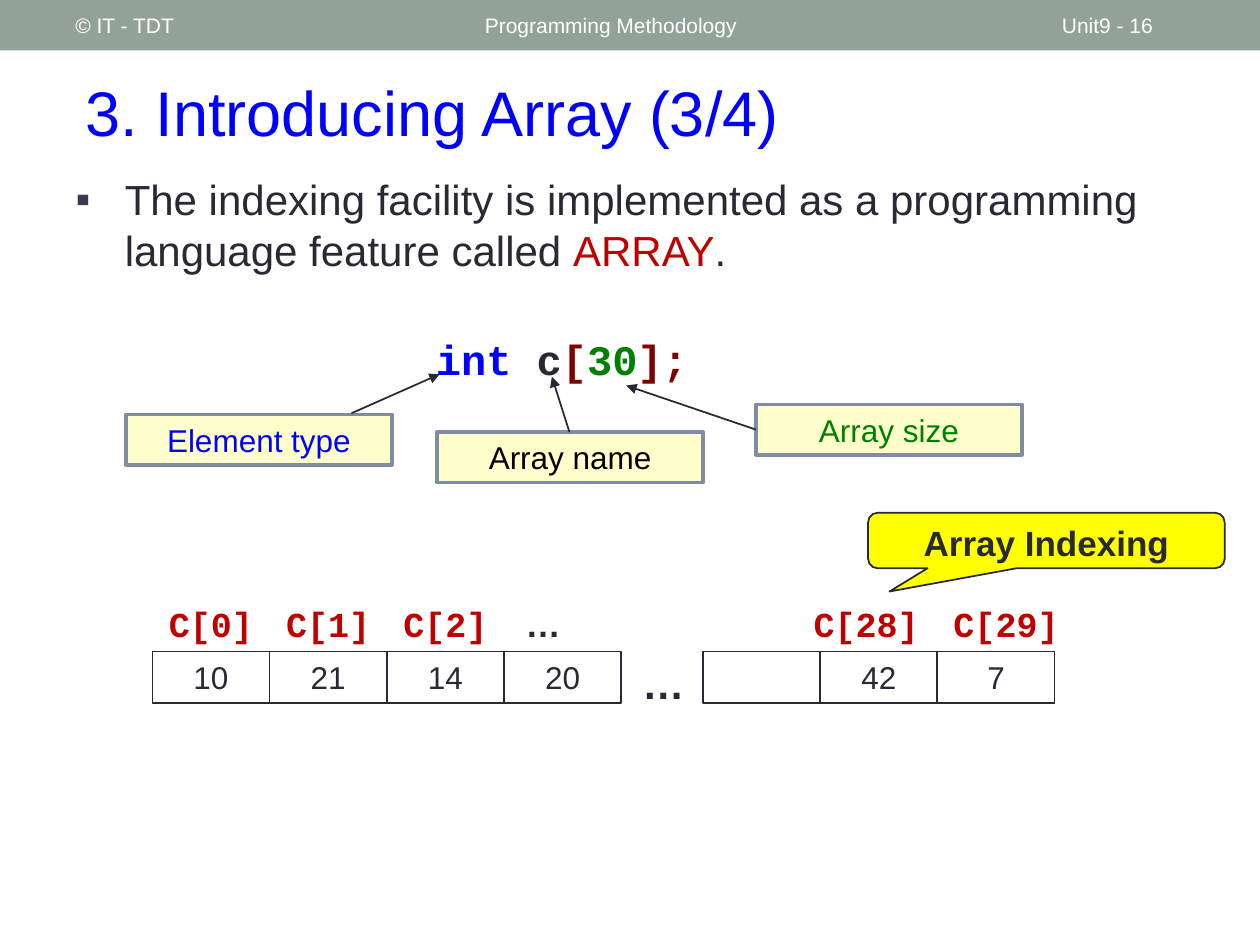
from lxml.etree import SubElement
from pptx import Presentation
from pptx.dml.color import RGBColor
from pptx.enum.shapes import MSO_CONNECTOR, MSO_SHAPE
from pptx.enum.text import MSO_ANCHOR, MSO_AUTO_SIZE, PP_ALIGN
from pptx.oxml.ns import qn
from pptx.util import Inches, Pt

WHITE = RGBColor(0xFF, 0xFF, 0xFF)
SAGE = RGBColor(0x93, 0xA2, 0x99)
INK = RGBColor(0x29, 0x29, 0x34)
SLATE = RGBColor(0x3A, 0x3A, 0x4A)
BLACK = RGBColor(0, 0, 0)
BLUE = RGBColor(0, 0, 0xFF)
GREEN = RGBColor(0, 0x80, 0)
MAROON = RGBColor(0x80, 0, 0)
RED = RGBColor(0xC0, 0, 0)
CREAM = RGBColor(0xFF, 0xFF, 0xCC)
STEEL = RGBColor(0x80, 0x8D, 0xA0)
YELLOW = RGBColor(0xFF, 0xFF, 0)
SANS, MONO = "Arial", "Courier New"


def style(para, size, color, face=SANS, bold=False, align=PP_ALIGN.CENTER):
    """Format a whole paragraph."""
    para.alignment = align
    font = para.font
    font.name, font.size, font.bold = face, Pt(size), bold
    font.color.rgb = color


def add_runs(para, parts):
    """Append coloured runs to a paragraph."""
    for words, color in parts:
        run = para.add_run()
        run.text = words
        run.font.color.rgb = color


def add_text(slide, box, words, size, color, anchor=MSO_ANCHOR.TOP, **look):
    """Add a wrapped text box and return its paragraph."""
    frame = slide.shapes.add_textbox(*map(Inches, box)).text_frame
    frame.word_wrap = True
    frame.vertical_anchor = anchor
    para = frame.paragraphs[0]
    para.text = words
    style(para, size, color, **look)
    return para


def add_box(slide, box, words="", size=18, color=INK, fill=None, line=INK,
            width=1, kind=MSO_SHAPE.RECTANGLE, bold=False):
    """Add an outlined shape with centred text."""
    shape = slide.shapes.add_shape(kind, *map(Inches, box))
    shape.shadow.inherit = False
    if fill is None:
        shape.fill.background()
    else:
        shape.fill.solid()
        shape.fill.fore_color.rgb = fill
    if line is None:
        shape.line.fill.background()
    else:
        shape.line.color.rgb = line
        shape.line.width = Pt(width)
    if words:
        frame = shape.text_frame
        frame.vertical_anchor = MSO_ANCHOR.TOP
        frame.paragraphs[0].text = words
        style(frame.paragraphs[0], size, color, bold=bold)
    return shape


def add_arrow(slide, start, end):
    """Draw a thin arrow between two points."""
    line = slide.shapes.add_connector(
        MSO_CONNECTOR.STRAIGHT, *map(Inches, (*start, *end)))
    line.line.color.rgb = INK
    line.line.width = Pt(1)
    SubElement(line.line._get_or_add_ln(), qn("a:tailEnd"), type="triangle")
    SubElement(line._element.spPr, qn("a:effectLst"))


def add_header(slide, left, top, width, height):
    """Fill the top band with its three labels."""
    add_box(slide, (left, top, width, height), fill=SAGE, line=None)
    labels = (("© IT - TDT", 0.5, 3.17), ("Programming Methodology", 3.75, 4.5),
              ("Unit9 - 16", 8.33, 1.17))
    for words, shift, wide in labels:
        add_text(slide, (left + shift, top + 0.02, wide, height - 0.04), words,
                 12, WHITE, anchor=MSO_ANCHOR.MIDDLE, align=PP_ALIGN.LEFT)


def place(holder, box, anchor):
    """Move a placeholder and return its first paragraph."""
    holder.left, holder.top, holder.width, holder.height = map(Inches, box)
    frame = holder.text_frame
    frame.auto_size = MSO_AUTO_SIZE.NONE
    frame.vertical_anchor = anchor
    return frame.paragraphs[0]


def add_title(slide, box):
    """Write the slide title."""
    para = place(slide.shapes.title, box, MSO_ANCHOR.MIDDLE)
    para.text = "3. Introducing Array (3/4)"
    style(para, 36, BLUE, align=PP_ALIGN.LEFT)


def add_body(slide, box):
    """Write the bulleted statement."""
    para = place(slide.placeholders[1], box, MSO_ANCHOR.TOP)
    props = para._p.get_or_add_pPr()
    props.set("marL", str(Inches(0.39)))
    props.set("indent", str(-Inches(0.39)))
    para.space_before = Pt(0)
    tint = SubElement(props, qn("a:buClr"))
    SubElement(tint, qn("a:srgbClr"), val=str(SLATE))
    SubElement(props, qn("a:buFont"), typeface=SANS)
    SubElement(props, qn("a:buChar"), char="▪")
    style(para, 24, INK, align=PP_ALIGN.LEFT)
    add_runs(para, (
        ("The indexing facility is implemented as a programming "
         "language feature called ", INK), ("ARRAY", RED), (".", INK)))


def add_syntax(slide, left, top):
    """Show the declaration and name its parts."""
    para = add_text(slide, (left + 2.16, top, 2.6, 0.51), "", 24, INK,
                    face=MONO, bold=True)
    add_runs(para, (("int ", BLUE), ("c", INK), ("[", MAROON),
                    ("30", GREEN), ("];", MAROON)))
    notes = (
        ("Array name", BLACK, 2.47, 0.83, (3.52, 0.83), (3.38, 0.39)),
        ("Element type", BLUE, 0, 0.69, (1.79, 0.68), (2.49, 0.37)),
        ("Array size", GREEN, 5, 0.61, (5, 0.81), (3.97, 0.46)),
    )
    for words, color, x, y, start, end in notes:
        add_box(slide, (left + x, top + y, 2.11, 0.4), words, color=color,
                fill=CREAM, line=STEEL, width=2.08)
        add_arrow(slide, *((left + a, top + b) for a, b in (start, end)))


def add_array(slide, left, top):
    """Draw the cells with their indices above."""
    cell, gap = 0.93, 4.37
    for start, values in ((0, ("10", "21", "14", "20")), (gap, ("", "42", "7"))):
        for i, value in enumerate(values):
            add_box(slide, (left + start + i * cell, top + 0.44, cell, 0.41),
                    value)
    marks = [(f"C[{i}]", i * cell, cell) for i in range(3)]
    marks += [("C[28]", 5.11, 1.11), ("C[29]", 6.22, 1.11)]
    for words, x, wide in marks:
        add_text(slide, (left + x, top, wide, 0.44), words, 20, RED,
                 face=MONO, bold=True)
    for x, y, wide, size in ((2.83, 0, 0.54, 20), (3.76, 0.44, 0.59, 24)):
        add_text(slide, (left + x, top + y, wide, 0.44), "…", size, INK,
                 bold=True)


def add_callout(slide, box):
    """Point at the index labels."""
    shape = add_box(slide, box, "Array Indexing", 20, fill=YELLOW, bold=True,
                    kind=MSO_SHAPE.ROUNDED_RECTANGULAR_CALLOUT)
    for i, value in enumerate((-0.44, 0.92, 0.17)):
        shape.adjustments[i] = value


def main():
    """Build and save the slide."""
    deck = Presentation()
    deck.slide_width, deck.slide_height = Inches(10), Inches(7.5)
    slide = deck.slides.add_slide(deck.slide_layouts[1])
    add_header(slide, 0, 0, 10, 0.4)
    add_title(slide, (0.58, 0.42, 9.17, 0.92))
    add_body(slide, (0.5, 1.33, 8.76, 1.11))
    add_syntax(slide, 1, 2.6)
    add_array(slide, 1.21, 4.73)
    add_callout(slide, (6.89, 4.07, 2.83, 0.44))
    deck.save("out.pptx")


if __name__ == "__main__":
    main()
